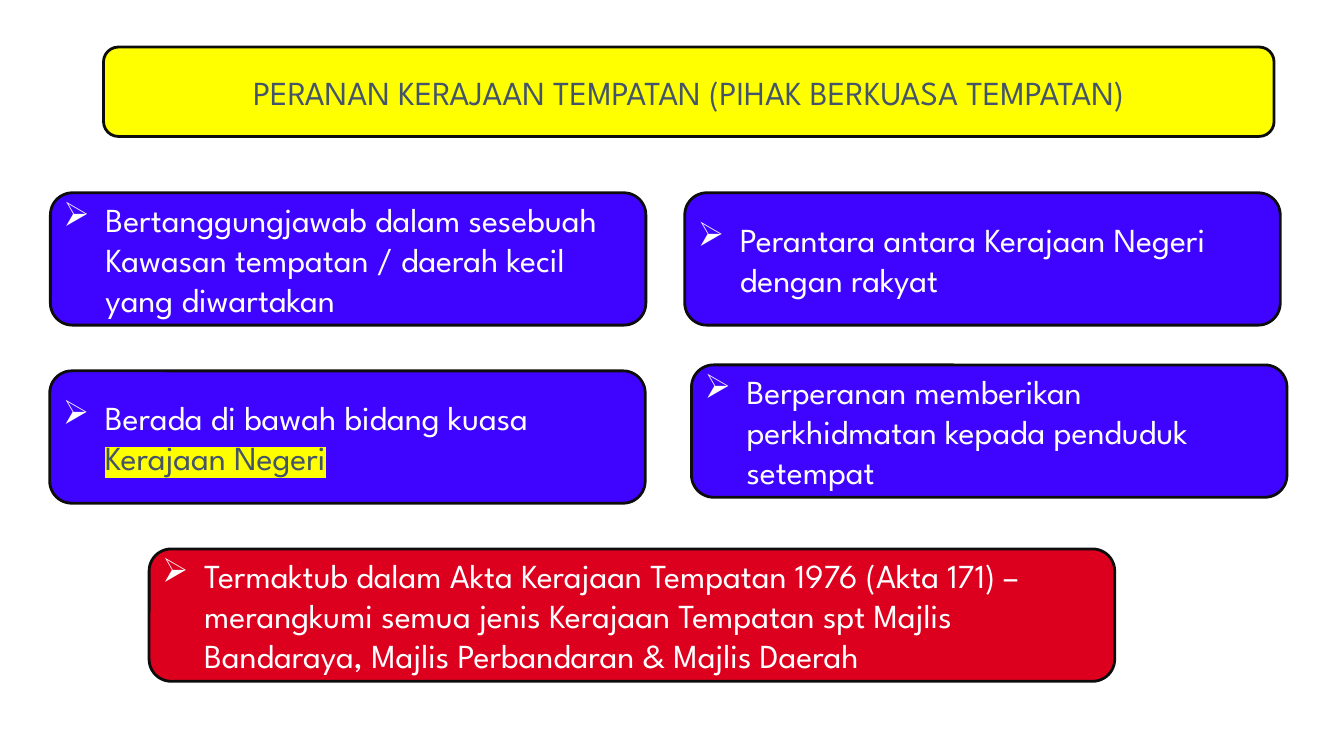
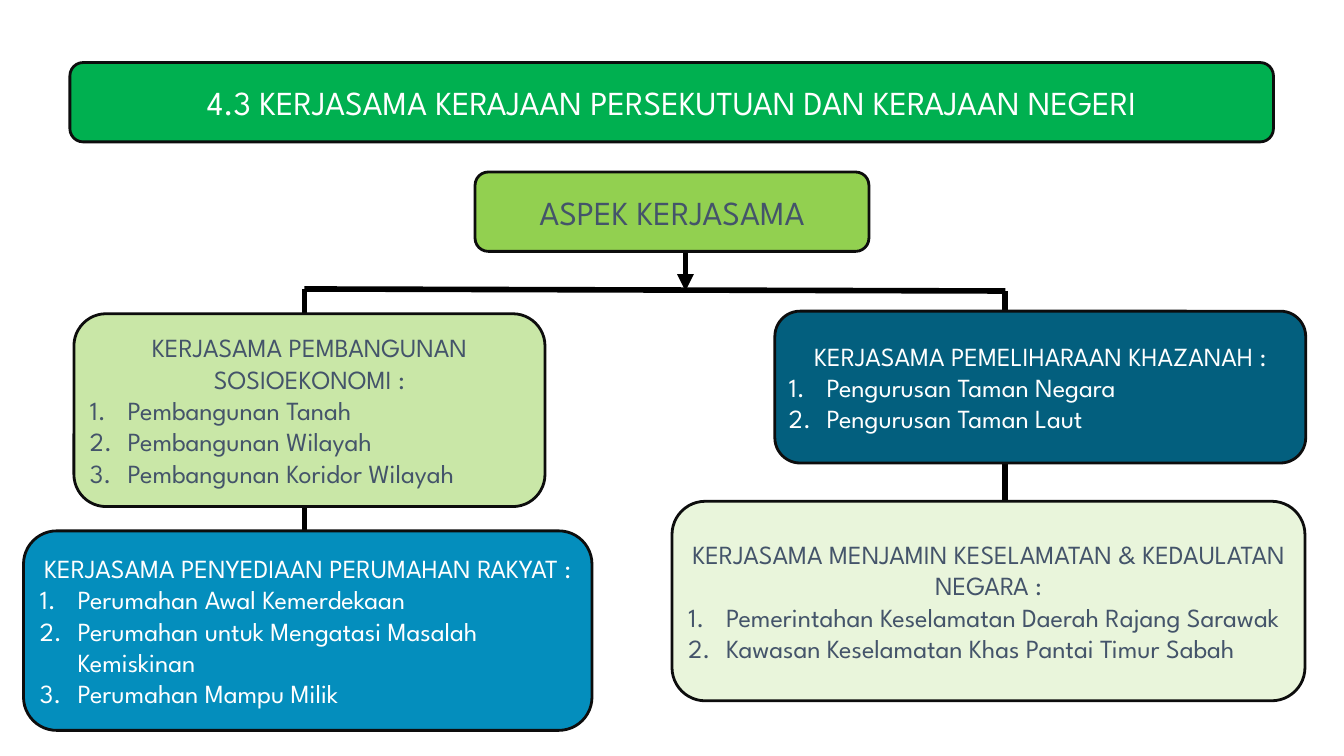
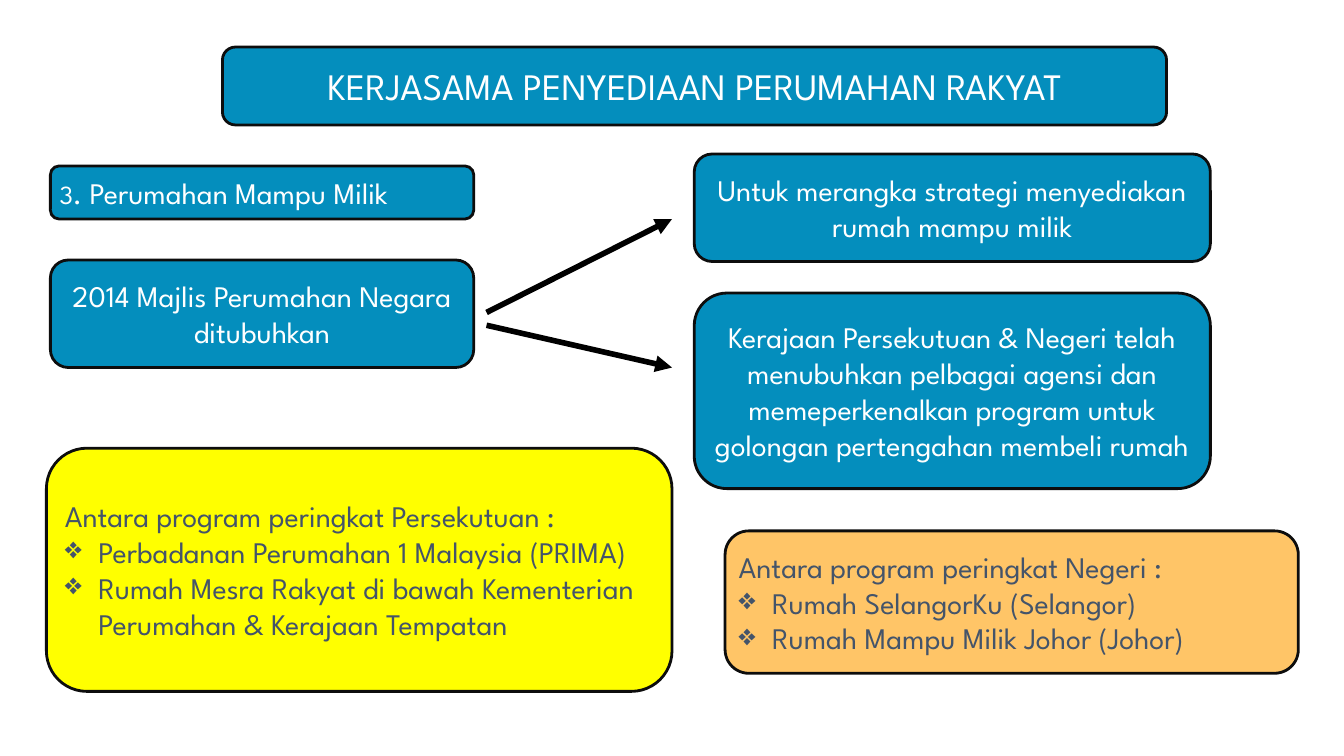
from dataclasses import dataclass
from typing import NamedTuple

from lxml.etree import SubElement
from pptx import Presentation
from pptx.dml.color import RGBColor
from pptx.enum.shapes import MSO_CONNECTOR, MSO_SHAPE
from pptx.enum.text import MSO_ANCHOR, PP_ALIGN
from pptx.oxml.ns import qn
from pptx.util import Pt


@dataclass(frozen=True)
class Theme:
    font: str = "League Spartan"
    white: str = "FFFFFF"
    slate: str = "44546A"
    outline: str = "0D0D0D"
    black: str = "000000"
    yellow: str = "FFFF00"
    violet: str = "3F04FF"
    red: str = "DC001E"
    green: str = "00B050"
    lime: str = "92D050"
    pale_lime: str = "C9E7A7"
    mist: str = "E9F5DB"
    teal: str = "035F7E"
    blue: str = "048EBD"
    orange: str = "FFC567"
    heading: int = 40
    large: int = 36
    medium: int = 32
    small: int = 28
    outline_width: int = 3
    link_width: int = 6


THEME = Theme()


class Box(NamedTuple):
    left: float
    top: float
    width: float
    height: float

    def inner(self, x, y, width, height):
        """Return a box whose position is measured from this box's corner."""
        return Box(self.left + x, self.top + y, width, height)

    def point(self, x, y):
        return self.left + x, self.top + y


class Span(NamedTuple):
    """A stretch of text that departs from its paragraph's font."""
    text: str
    size: int | None = None
    color: str | None = None
    highlight: str | None = None


class Para(NamedTuple):
    spans: list
    align: PP_ALIGN = PP_ALIGN.LEFT
    bullet: str | None = None
    indent: float = 0


def centered(text):
    return Para([Span(text)], PP_ALIGN.CENTER)


def plain(*spans):
    return Para(list(spans))


def arrowed(*spans):
    return Para(list(spans), bullet="➢", indent=45)


def numbered(heading, *items):
    return [centered(heading)] + [Para([Span(item)], bullet="1.", indent=40.5) for item in items]


def diamonds(heading, *items):
    return [plain(Span(heading))] + [Para([Span(item)], bullet="❖", indent=36) for item in items]


def rgb(color):
    return RGBColor.from_string(color)


def add_bullet(paragraph, para):
    properties = paragraph._p.get_or_add_pPr()
    properties.set("marL", str(Pt(para.indent)))
    properties.set("indent", str(-Pt(para.indent)))
    if para.bullet == "1.":
        SubElement(properties, qn("a:buAutoNum"), type="arabicPeriod")
    else:
        SubElement(properties, qn("a:buChar"), char=para.bullet)


def add_span(paragraph, span):
    run = paragraph.add_run()
    run.text = span.text
    if span.size:
        run.font.size = Pt(span.size)
    if span.color:
        run.font.color.rgb = rgb(span.color)
    if span.highlight:
        highlight = SubElement(run.font._element, qn("a:highlight"))
        SubElement(highlight, qn("a:srgbClr"), val=span.highlight)


def add_panel(page, box, fill, paras, size, color=THEME.white):
    """Draw a rounded, outlined panel holding the given paragraphs."""
    shape = page.shapes.add_shape(MSO_SHAPE.ROUNDED_RECTANGLE, *map(Pt, box))
    shape.shadow.inherit = False
    shape.fill.solid()
    shape.fill.fore_color.rgb = rgb(fill)
    shape.line.color.rgb = rgb(THEME.outline)
    shape.line.width = Pt(THEME.outline_width)
    frame = shape.text_frame
    frame.word_wrap = True
    frame.vertical_anchor = MSO_ANCHOR.MIDDLE
    for index, para in enumerate(paras):
        paragraph = frame.add_paragraph() if index else frame.paragraphs[0]
        paragraph.alignment = para.align
        if para.bullet:
            add_bullet(paragraph, para)
        paragraph.font.name = THEME.font
        paragraph.font.size = Pt(size)
        paragraph.font.color.rgb = rgb(color)
        for span in para.spans:
            add_span(paragraph, span)


def add_link(page, start, end, arrow=False):
    link = page.shapes.add_connector(MSO_CONNECTOR.STRAIGHT, *map(Pt, start + end))
    link.line.color.rgb = rgb(THEME.black)
    link.line.width = Pt(THEME.link_width)
    if arrow:
        SubElement(link.line._get_or_add_ln(), qn("a:tailEnd"), type="triangle")
    SubElement(link._element.spPr, qn("a:effectLst"))


def add_title(page, box, text, fill, size=THEME.large, color=THEME.white):
    add_panel(page, box, fill, [centered(text)], size, color)


def add_roles(page, area):
    width, height = 638, 141.8
    roles = [
        (1, 0.6, [Span("Bertanggungjawab dalam sesebuah Kawasan tempatan / daerah kecil yang diwartakan")]),
        (0.3, 191.4, [Span("Berada di bawah bidang kuasa "),
                      Span("Kerajaan Negeri", color=THEME.slate, highlight=THEME.yellow)]),
        (680.7, 0.6, [Span("Perantara antara Kerajaan Negeri dengan rakyat")]),
        (687.9, 185, [Span("Berperanan memberikan perkhidmatan kepada penduduk setempat")]),
    ]
    for x, y, spans in roles:
        add_panel(page, area.inner(x, y, width, height), THEME.violet, [arrowed(*spans)], THEME.large)
    act = Span("Termaktub dalam Akta Kerajaan Tempatan 1976 (Akta 171) – merangkumi semua jenis "
               "Kerajaan Tempatan spt Majlis Bandaraya, Majlis Perbandaran & Majlis Daerah")
    add_panel(page, area.inner(106.8, 382.2, 1034.6, height), THEME.red, [arrowed(act)], THEME.large)


def add_cooperation_tree(page, area):
    left_top, right_top = area.point(301.2, 125.6), area.point(1052.1, 127.8)
    add_link(page, left_top, area.point(301.2, 493))
    add_link(page, right_top, area.point(1052.1, 447))
    add_link(page, left_top, right_top)
    add_link(page, area.point(709.4, 85.3), area.point(709.4, 127.8), arrow=True)
    add_title(page, area.inner(484, 0.3, 422, 85), "ASPEK KERJASAMA", THEME.lime, color=THEME.slate)
    aspects = [
        ((54.2, 152.2, 504.7, 206.6), THEME.pale_lime, THEME.slate, numbered(
            "KERJASAMA PEMBANGUNAN SOSIOEKONOMI :",
            "Pembangunan Tanah", "Pembangunan Wilayah", "Pembangunan Koridor Wilayah")),
        ((805.2, 149.4, 568.8, 162.7), THEME.teal, THEME.white, numbered(
            "KERJASAMA PEMELIHARAAN KHAZANAH :",
            "Pengurusan Taman Negara", "Pengurusan Taman Laut")),
        ((0.2, 384.8, 609.1, 213.8), THEME.blue, THEME.white, numbered(
            "KERJASAMA PENYEDIAAN PERUMAHAN RAKYAT :",
            "Perumahan Awal Kemerdekaan", "Perumahan untuk Mengatasi Masalah Kemiskinan",
            "Perumahan Mampu Milik")),
        ((695, 353.1, 678.2, 213.8), THEME.mist, THEME.slate, numbered(
            "KERJASAMA MENJAMIN KESELAMATAN & KEDAULATAN NEGARA :",
            "Pemerintahan Keselamatan Daerah Rajang Sarawak",
            "Kawasan Keselamatan Khas Pantai Timur Sabah")),
    ]
    for place, fill, color, paras in aspects:
        add_panel(page, area.inner(*place), fill, paras, THEME.small, color)


def add_housing_council(page, area):
    label = plain(Span("3", size=THEME.small), Span(". Perumahan Mampu Milik"))
    panels = [
        ((0, 12.8, 453.6, 56.9), label),
        ((0, 113.6, 453.6, 115.2), centered("2014 Majlis Perumahan Negara ditubuhkan")),
        ((689.8, 0, 553, 115.2), centered("Untuk merangka strategi menyediakan rumah mampu milik")),
        ((689.8, 149, 553, 209.5), centered(
            "Kerajaan Persekutuan & Negeri telah menubuhkan pelbagai agensi dan "
            "memeperkenalkan program untuk golongan pertengahan membeli rumah")),
    ]
    for place, para in panels:
        add_panel(page, area.inner(*place), THEME.blue, [para], THEME.medium)
    for start_y, end_y in ((169.8, 69.7), (183.5, 228.8)):
        add_link(page, area.point(467.3, start_y), area.point(666, end_y), arrow=True)


def add_programmes(page, area):
    federal = diamonds("Antara program peringkat Persekutuan :",
                       "Perbadanan Perumahan 1 Malaysia (PRIMA)",
                       "Rumah Mesra Rakyat di bawah Kementerian Perumahan & Kerajaan Tempatan")
    state = diamonds("Antara program peringkat Negeri :",
                     "Rumah SelangorKu (Selangor)", "Rumah Mampu Milik Johor (Johor)")
    add_panel(page, area.inner(0, 0, 670.3, 260.6), THEME.yellow, federal, THEME.medium, THEME.slate)
    add_panel(page, area.inner(727.2, 88.6, 614.2, 152.6), THEME.orange, state, THEME.medium, THEME.slate)


def build_roles_slide(page):
    add_title(page, Box(110.9, 50.4, 1254.2, 95.8),
              "PERANAN KERAJAAN TEMPATAN (PIHAK BERKUASA TEMPATAN)", THEME.yellow, color=THEME.slate)
    add_roles(page, Box(53, 206, 1326, 524))


def build_cooperation_slide(page):
    add_title(page, Box(74.9, 67, 1289.5, 85),
              "4.3 KERJASAMA KERAJAAN PERSEKUTUAN DAN KERAJAAN NEGERI", THEME.green)
    add_cooperation_tree(page, Box(25, 184, 1374, 599))


def build_housing_slide(page):
    add_title(page, Box(238.3, 50.4, 1011.6, 83.5),
              "KERJASAMA PENYEDIAAN PERUMAHAN RAKYAT", THEME.blue, THEME.heading)
    add_housing_council(page, Box(54, 165, 1243, 359))
    add_programmes(page, Box(49.7, 480.2, 1342, 261))


def main():
    deck = Presentation()
    deck.slide_width, deck.slide_height = Pt(1440), Pt(810)
    blank = deck.slide_layouts[6]
    for build in (build_roles_slide, build_cooperation_slide, build_housing_slide):
        build(deck.slides.add_slide(blank))
    deck.save("out.pptx")


if __name__ == "__main__":
    main()
